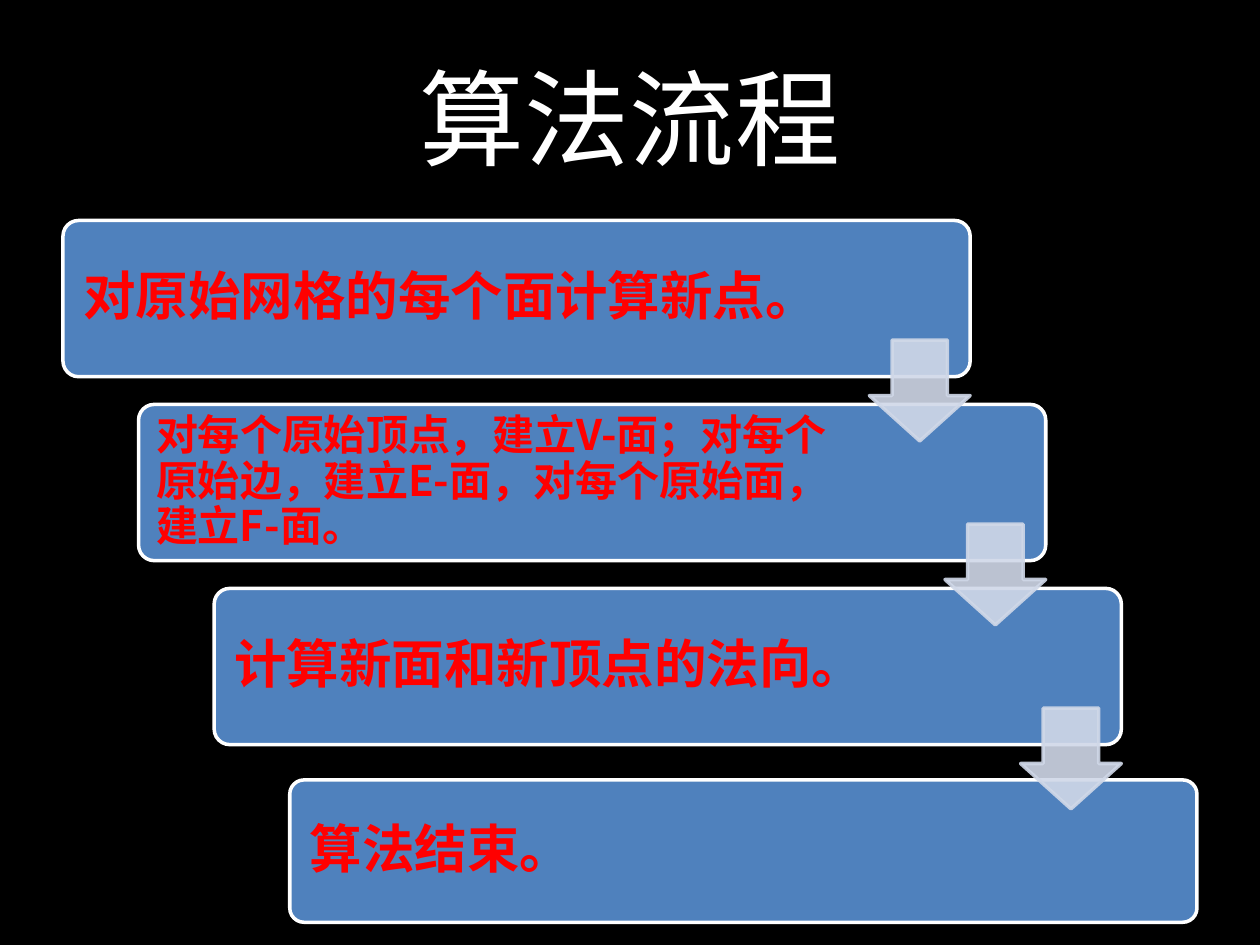
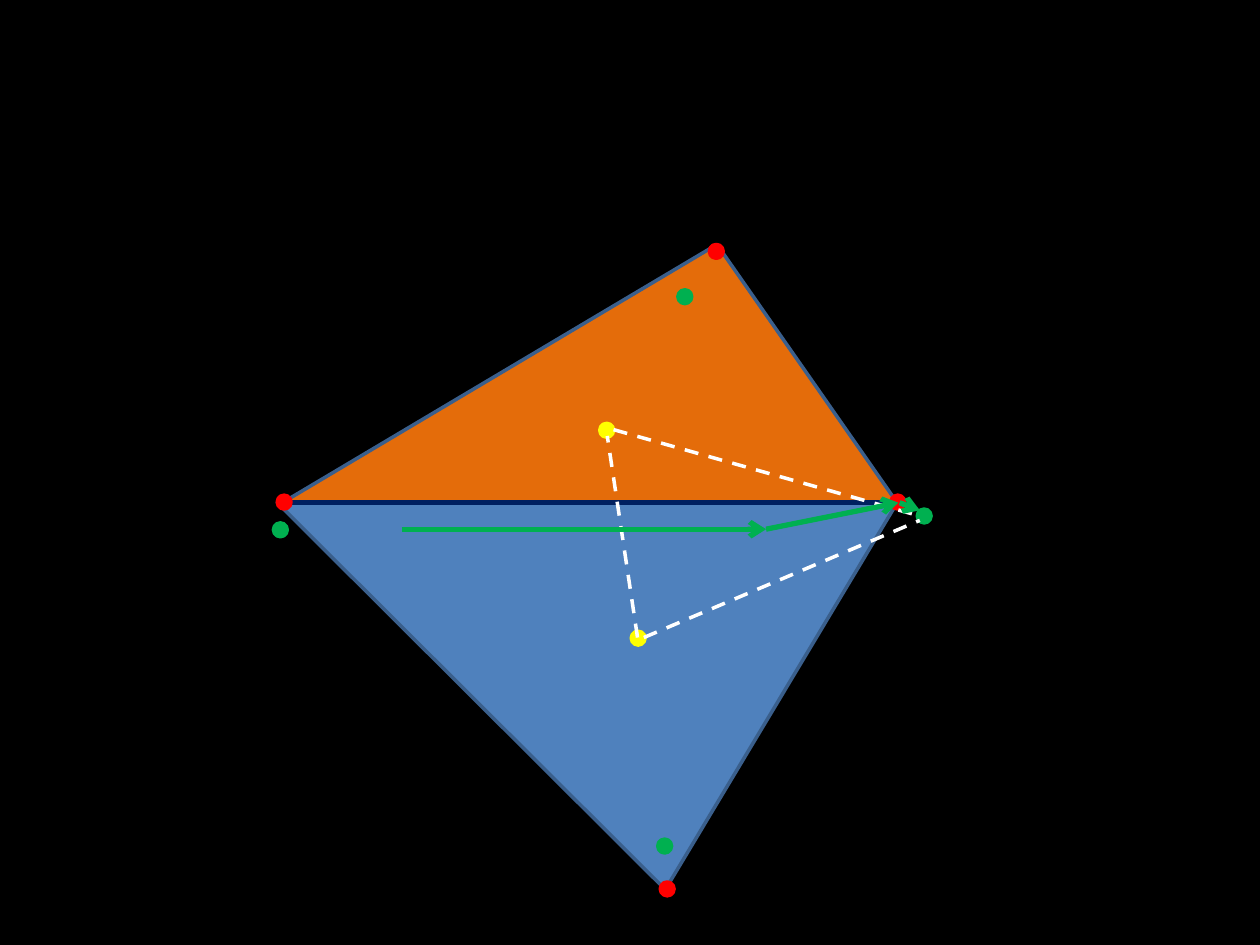
from typing import NamedTuple

from lxml import etree
from pptx import Presentation
from pptx.dml.color import RGBColor
from pptx.enum import dml, shapes, text
from pptx.oxml.ns import qn
from pptx.util import Inches, Pt

FONT = "Noto Sans CJK SC"
COLORS = {
    "black": "000000",
    "white": "FFFFFF",
    "red": "FF0000",
    "yellow": "FFFF00",
    "green": "00B050",
    "blue": "4F81BD",
    "orange": "E46C0A",
    "navy": "002060",
    "edge": "3A5F8C",
    "pale": "D0D8E8",
}
CARD_WIDTH, STEP_RIGHT, STEP_DOWN = 7.2, 0.6, 1.46
ARROW_SIZE = 0.8
DOT_SIZE = 0.11


class Step(NamedTuple):
    words: str
    size: int = 30
    inset: float = 0.12
    top_shift: float = 0
    height: float = 1.24


class Face(NamedTuple):
    left: float
    top: float
    width: float
    height: float
    apex: float
    color: str
    rotation: int = 0


class Edge(NamedTuple):
    start: tuple[float, float]
    end: tuple[float, float]
    color: str
    width: int
    dashed: bool = False
    arrow: bool = False


STEPS = [
    Step("对原始网格的每个面计算新点。"),
    Step("对每个原始顶点，建立V-面；对每个原始边，建立E-面，对每个原始面，建立F-面。", 24, 0.1),
    Step("计算新面和新顶点的法向。"),
    Step("算法结束。", top_shift=0.06, height=1.13),
]

FACES = [
    Face(2.24, 1.94, 4.88, 2.05, 0.707, "orange"),
    Face(2.2, 3.99, 4.92, 3.07, 0.374, "blue", 180),
]
SHARED_EDGE = Edge((2.24, 3.99), (7.13, 3.99), "navy", 3)
# Left and top of each dot: old vertices, face points, new vertices
DOTS = {
    "red": [(2.2, 3.93), (7.07, 3.93), (5.24, 7), (5.63, 1.94)],
    "yellow": [(4.76, 3.36), (5.01, 5.01)],
    "green": [(7.28, 4.04), (5.22, 6.66), (5.38, 2.3), (2.17, 4.15)],
}
NEW_FACE = [
    Edge((4.87, 3.41), (7.28, 4.09), "white", 2, dashed=True),
    Edge((5.11, 5.06), (7.3, 4.13), "white", 2, dashed=True),
    Edge((5.06, 5.06), (4.82, 3.46), "white", 2, dashed=True),
]
DIRECTIONS = [
    Edge((3.19, 4.2), (6.08, 4.2), "green", 3, arrow=True),
    Edge((6.08, 4.2), (7.13, 3.99), "green", 3, arrow=True),
    Edge((7.14, 3.99), (7.3, 4.05), "green", 3, arrow=True),
]


def rgb(name: str) -> RGBColor:
    return RGBColor.from_string(COLORS[name])


def set_font(paragraph, size: int, color: str, bold: bool = False) -> None:
    """Apply the font to Latin and East Asian characters alike."""
    font = paragraph.font
    font.name, font.size, font.bold = FONT, Pt(size), bold
    font.color.rgb = rgb(color)
    etree.SubElement(font._element, qn("a:ea"), typeface=FONT)


def add_figure(slide, kind, left: float, top: float, width: float, height: float,
               fill: str, line: str, adjustments: tuple[float, ...] = ()):
    figure = slide.shapes.add_shape(
        kind, Inches(left), Inches(top), Inches(width), Inches(height))
    figure.shadow.inherit = False
    figure.fill.solid()
    figure.fill.fore_color.rgb = rgb(fill)
    figure.line.color.rgb = rgb(line)
    figure.line.width = Pt(2)
    for index, value in enumerate(adjustments):
        figure.adjustments[index] = value
    return figure


def add_edge(slide, edge: Edge) -> None:
    points = [Inches(value) for value in (*edge.start, *edge.end)]
    connector = slide.shapes.add_connector(shapes.MSO_CONNECTOR.STRAIGHT, *points)
    connector.line.color.rgb = rgb(edge.color)
    connector.line.width = Pt(edge.width)
    if edge.dashed:
        connector.line.dash_style = dml.MSO_LINE.DASH
    properties = connector._element.spPr
    if edge.arrow:
        etree.SubElement(properties.find(qn("a:ln")), qn("a:tailEnd"), type="arrow")
    etree.SubElement(properties, qn("a:effectLst"))


def add_step(slide, step: Step, left: float, top: float) -> None:
    add_figure(slide, shapes.MSO_SHAPE.ROUNDED_RECTANGLE, left, top,
               CARD_WIDTH, step.height, "blue", "white", (0.1,))
    label = slide.shapes.add_textbox(
        Inches(left + 0.04), Inches(top + 0.04), Inches(5.73), Inches(step.height - 0.08))
    frame = label.text_frame
    frame.word_wrap = True
    frame.vertical_anchor = text.MSO_ANCHOR.MIDDLE
    frame.margin_left = frame.margin_right = Inches(step.inset)
    frame.margin_top = frame.margin_bottom = Inches(step.inset)
    paragraph = frame.paragraphs[0]
    paragraph.text = step.words
    paragraph.line_spacing = 0.9
    set_font(paragraph, step.size, "red", bold=True)


def add_step_arrow(slide, left: float, top: float) -> None:
    arrow = add_figure(slide, shapes.MSO_SHAPE.DOWN_ARROW, left, top,
                       ARROW_SIZE, ARROW_SIZE, "pale", "pale", (0.55, 0.45))
    for color in arrow._element.spPr.iter(qn("a:srgbClr")):
        etree.SubElement(color, qn("a:alpha"), val="90000")


def build_flow(prs) -> None:
    slide = prs.slides.add_slide(prs.slide_layouts[5])
    title = slide.shapes.title
    title.left, title.top = Inches(0.5), Inches(0.3)
    title.width, title.height = Inches(9), Inches(1.25)
    title.text_frame.vertical_anchor = text.MSO_ANCHOR.MIDDLE
    heading = title.text_frame.paragraphs[0]
    heading.text = "算法流程"
    heading.alignment = text.PP_ALIGN.CENTER
    set_font(heading, 60, "white")

    for index, step in enumerate(STEPS):
        add_step(slide, step, 0.5 + index * STEP_RIGHT,
                 1.75 + index * STEP_DOWN + step.top_shift)
    for index in range(len(STEPS) - 1):
        add_step_arrow(slide, 6.9 + index * STEP_RIGHT, 2.7 + index * STEP_DOWN)


def build_mesh(prs) -> None:
    slide = prs.slides.add_slide(prs.slide_layouts[6])
    for face in FACES:
        triangle = add_figure(slide, shapes.MSO_SHAPE.ISOSCELES_TRIANGLE,
                              face.left, face.top, face.width, face.height,
                              face.color, "edge", (face.apex,))
        triangle.rotation = face.rotation
    add_edge(slide, SHARED_EDGE)
    for color, corners in DOTS.items():
        for left, top in corners:
            add_figure(slide, shapes.MSO_SHAPE.FLOWCHART_CONNECTOR, left, top,
                       DOT_SIZE, DOT_SIZE, color, color)
    for edge in NEW_FACE + DIRECTIONS:
        add_edge(slide, edge)


def main() -> None:
    prs = Presentation()
    prs.slide_width, prs.slide_height = Inches(10), Inches(7.5)
    backdrop = prs.slide_master.background.fill
    backdrop.solid()
    backdrop.fore_color.rgb = rgb("black")
    build_flow(prs)
    build_mesh(prs)
    prs.save("out.pptx")


if __name__ == "__main__":
    main()
